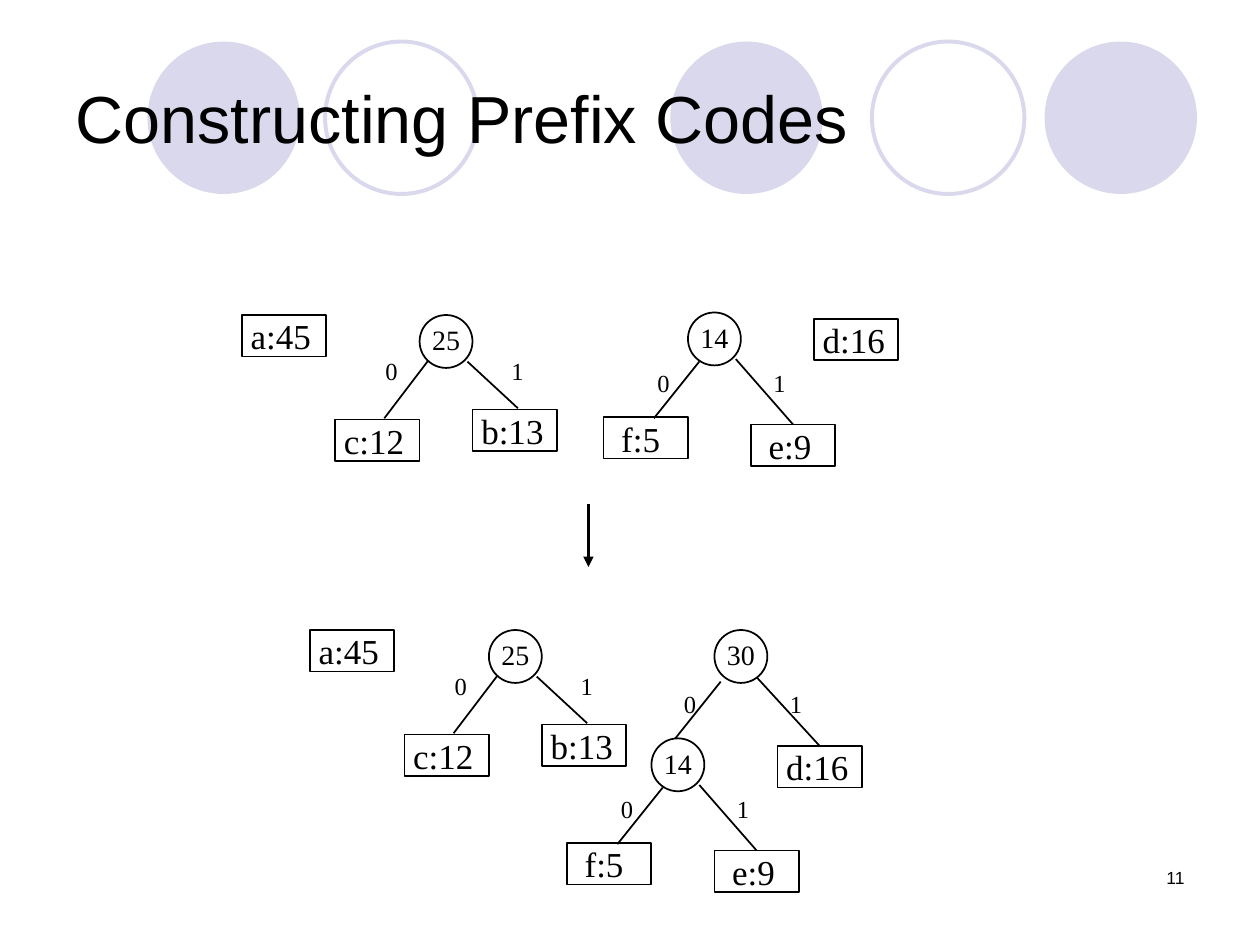
from dataclasses import dataclass
from typing import Optional, Union

from lxml.etree import SubElement
from pptx import Presentation
from pptx.dml.color import RGBColor
from pptx.enum.shapes import MSO_CONNECTOR, MSO_SHAPE
from pptx.enum.text import MSO_ANCHOR, PP_ALIGN
from pptx.oxml.ns import qn
from pptx.util import Inches, Pt

BLACK = RGBColor(0x00, 0x00, 0x00)
LAVENDER = RGBColor(0xD9, 0xD8, 0xEC)
SANS, SERIF = "Arial", "Times New Roman"
NODE = 0.42
LEAF_WIDTH, LEAF_HEIGHT = 0.67, 0.33
LEAF_INDENT = 0.07
TOP_SITE = 0


@dataclass
class Branch:
    """An edge to a child; all places are relative to the parent node's box."""
    bit: str
    label: tuple
    start: tuple
    end: Optional[tuple]  # None joins the edge to the middle of the child's top
    child: Union[str, "Tree"]
    child_at: tuple


@dataclass
class Tree:
    weight: str
    branches: list


TREE_25 = Tree("25", [
    Branch("0", (-0.37, 0.28), (0.07, 0.36), (-0.28, 0.82), "c:12", (-0.67, 0.83)),
    Branch("1", (0.63, 0.28), (0.38, 0.37), (0.78, 0.74), "b:13", (0.42, 0.75)),
])
TREE_14 = Tree("14", [
    Branch("0", (-0.34, 0.39), (0.09, 0.39), (-0.27, 0.84), "f:5", (-0.67, 0.83)),
    Branch("1", (0.58, 0.39), (0.38, 0.37), None, "e:9", (0.5, 0.89)),
])
TREE_30 = Tree("30", [
    Branch("0", (-0.34, 0.42), (0.05, 0.41), (-0.31, 0.86), TREE_14, (-0.5, 0.86)),
    Branch("1", (0.5, 0.42), (0.34, 0.38), None, "d:16", (0.5, 0.92)),
])


def offset(origin, distance):
    return origin[0] + distance[0], origin[1] + distance[1]


def write(frame, text, size, font, align=PP_ALIGN.LEFT):
    paragraph = frame.paragraphs[0]
    paragraph.alignment = align
    run = paragraph.add_run()
    run.text = text
    run.font.size = Pt(size)
    run.font.name = font
    run.font.color.rgb = BLACK


def set_margins(frame, left=0, top=0, right=0, bottom=0):
    frame.margin_left, frame.margin_top = Inches(left), Inches(top)
    frame.margin_right, frame.margin_bottom = Inches(right), Inches(bottom)


def add_outline(slide, kind, at, width, height, color=BLACK, weight=1):
    shape = slide.shapes.add_shape(
        kind, Inches(at[0]), Inches(at[1]), Inches(width), Inches(height))
    shape.shadow.inherit = False
    shape.fill.background()
    shape.line.color.rgb = color
    shape.line.width = Pt(weight)
    return shape


def add_label(slide, at, width, height, text, size, font, align=PP_ALIGN.LEFT):
    label = slide.shapes.add_textbox(
        Inches(at[0]), Inches(at[1]), Inches(width), Inches(height))
    label.text_frame.word_wrap = True
    write(label.text_frame, text, size, font, align)


def add_line(slide, start, end, weight=1):
    line = slide.shapes.add_connector(
        MSO_CONNECTOR.STRAIGHT, *(Inches(value) for value in (*start, *end)))
    line.line.color.rgb = BLACK
    line.line.width = Pt(weight)
    SubElement(line._element.spPr, qn("a:effectLst"))
    return line


def add_leaf(slide, at, text):
    leaf = add_outline(slide, MSO_SHAPE.RECTANGLE, at, LEAF_WIDTH, LEAF_HEIGHT)
    # One-digit weights sit one step further in
    steps = 2 if len(text) == 3 else 1
    set_margins(leaf.text_frame, left=steps * LEAF_INDENT)
    leaf.text_frame.vertical_anchor = MSO_ANCHOR.TOP
    leaf.text_frame.word_wrap = False
    write(leaf.text_frame, text, 20, SERIF)
    return leaf


def add_tree(slide, at, tree):
    node = add_outline(slide, MSO_SHAPE.OVAL, at, NODE, NODE)
    set_margins(node.text_frame, bottom=0.03)
    node.text_frame.vertical_anchor = MSO_ANCHOR.MIDDLE
    node.text_frame.word_wrap = False
    write(node.text_frame, tree.weight, 16, SERIF, PP_ALIGN.CENTER)

    for branch in tree.branches:
        add_child = add_tree if isinstance(branch.child, Tree) else add_leaf
        child_at = offset(at, branch.child_at)
        child = add_child(slide, child_at, branch.child)
        end = offset(at, branch.end) if branch.end else child_at
        edge = add_line(slide, offset(at, branch.start), end)
        if branch.end is None:
            edge.end_connect(child, TOP_SITE)
        add_label(slide, offset(at, branch.label), 0.5, 0.34, branch.bit, 14, SERIF)
    return node


def add_header(slide, left, top, width, height):
    # Row of filled and open circles behind the title
    circles = [(0.67, True), (2.08, False), (4.82, True), (6.42, False), (7.79, True)]
    for x, filled in circles:
        circle = add_outline(slide, MSO_SHAPE.OVAL, (left + x, top + 0.03),
                             1.21, 1.21, LAVENDER, 2.25)
        if filled:
            circle.fill.solid()
            circle.fill.fore_color.rgb = LAVENDER
            circle.line.fill.background()

    title = slide.shapes.title
    title.left, title.top = Inches(left), Inches(top)
    title.width, title.height = Inches(width), Inches(height)
    title.text_frame.vertical_anchor = MSO_ANCHOR.MIDDLE
    write(title.text_frame, "Constructing Prefix Codes", 38, SANS)
    slide.shapes._spTree.append(title._element)  # in front of the circles


def add_step_arrow(slide, x, top, height):
    arrow = add_line(slide, (x, top), (x, top + height), 1.5)
    SubElement(arrow.line._get_or_add_ln(), qn("a:tailEnd"), type="triangle")


def add_forest(slide, left, top, leaves, trees):
    for at, text in leaves:
        add_leaf(slide, offset((left, top), at), text)
    for at, tree in trees:
        add_tree(slide, offset((left, top), at), tree)


def main():
    presentation = Presentation()
    presentation.slide_width, presentation.slide_height = Inches(10), Inches(7.5)
    slide = presentation.slides.add_slide(presentation.slide_layouts[5])

    add_header(slide, 0.5, 0.3, 9, 1.25)
    # Before the merge: 14 and d are still apart
    add_forest(slide, 1.92, 2.5,
               [((0, 0), "a:45"), ((4.54, 0.03), "d:16")],
               [((1.41, 0), TREE_25), ((3.54, -0.02), TREE_14)])
    add_step_arrow(slide, 4.67, 4, 0.5)
    # After the merge: 14 and d hang under 30
    add_forest(slide, 2.46, 5,
               [((0, 0), "a:45")],
               [((1.42, 0), TREE_25), ((3.21, 0), TREE_30)])
    # Slide number
    add_label(slide, (7.17, 6.83), 2.33, 0.5, "11", 10, SANS, PP_ALIGN.RIGHT)

    presentation.save("out.pptx")


if __name__ == "__main__":
    main()
